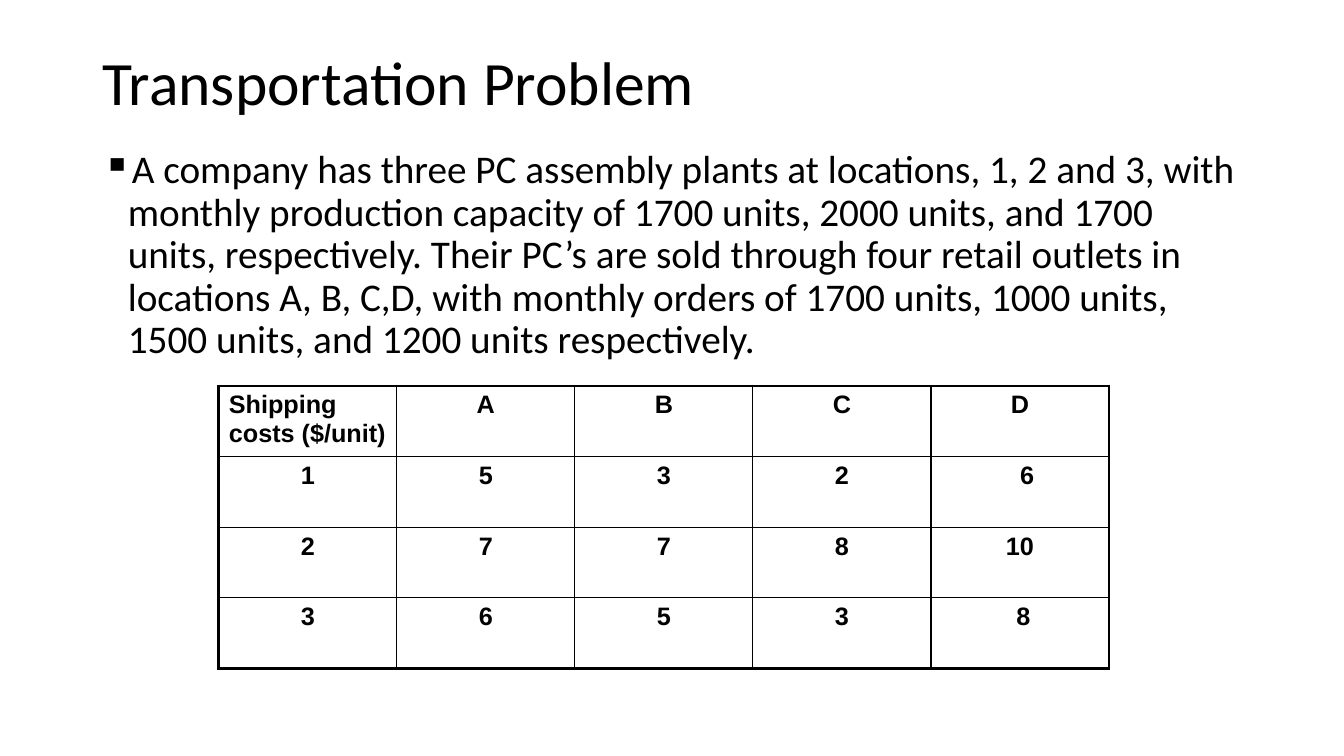
from pptx import Presentation
from pptx.dml.color import RGBColor as Rgb
from pptx.enum.text import MSO_ANCHOR as Anchor, PP_ALIGN as Align
from pptx.oxml.ns import qn
from pptx.util import Inches, Pt
from lxml.etree import SubElement as Sub

COLORS = {"ink": "000000"}
INTRO = (
    "A company has three PC assembly plants at locations, 1, 2 and 3, with "
    "monthly production capacity of 1700 units, 2000 units, and 1700 units, "
    "respectively. Their PC’s are sold through four retail outlets in "
    "locations A, B, C,D, with monthly orders of 1700 units, 1000 units, "
    "1500 units, and 1200 units respectively."
)
COSTS = [
    ["Shipping costs ($/unit)", "A", "B", "C", "D"],
    ["1", "5", "3", "2", "6"],
    ["2", "7", "7", "8", "10"],
    ["3", "6", "5", "3", "8"],
]
# Extra left inset of cells set off from the centre
SHIFT = {(1, 4): 0.14, (3, 4): 0.07}


class Deck:
    font = "Calibri"
    thin, thick = 1, 2.25

    def __init__(self):
        self.prs = Presentation()
        self.prs.slide_width = Inches(13.33)
        self.prs.slide_height = Inches(7.5)
        self.slide = self.prs.slides.add_slide(self.prs.slide_layouts[6])

    def run(self, para, text, size, font=None, bold=False):
        run = para.add_run()
        run.text = text
        run.font.size = Pt(size)
        run.font.name = font or self.font
        run.font.bold = bold
        run.font.color.rgb = Rgb.from_string(COLORS["ink"])

    def text(self, box, text, size, anchor=Anchor.TOP, bullet=None):
        frame = self.slide.shapes.add_textbox(*map(Inches, box)).text_frame
        frame.word_wrap = True
        frame.vertical_anchor = anchor
        para = frame.paragraphs[0]
        if bullet:
            props = para._p.get_or_add_pPr()
            props.set("marL", str(Inches(0.25)))
            props.set("indent", str(-Inches(0.25)))
            Sub(props, qn("a:buChar"), char=bullet)
        para.line_spacing = 0.9
        self.run(para, text, size)

    def border(self, cell, widths):
        props = cell._tc.get_or_add_tcPr()
        for side, width in widths.items():
            line = Sub(props, qn("a:ln" + side), w=str(Pt(width)))
            fill = Sub(line, qn("a:solidFill"))
            Sub(fill, qn("a:srgbClr"), val=COLORS["ink"])

    def table(self, box, rows, size, font):
        high, wide = len(rows), len(rows[0])
        grid = self.slide.shapes.add_table(high, wide, *map(Inches, box)).table
        grid.first_row = grid.horz_banding = False
        for r, row in enumerate(rows):
            for c, text in enumerate(row):
                cell = grid.cell(r, c)
                edges = {"L": c == 0, "R": c == wide - 1,
                         "T": r == 0, "B": r == high - 1}
                self.border(cell, {side: self.thick if outer else self.thin
                                   for side, outer in edges.items()})
                cell.fill.background()
                cell.margin_left = Inches(0.1 + SHIFT.get((r, c), 0))
                para = cell.text_frame.paragraphs[0]
                para.alignment = Align.CENTER if r or c else Align.LEFT
                self.run(para, text, size, font, True)


def main():
    deck = Deck()
    # Title and problem statement
    deck.text((0.92, 0.4, 11.5, 0.9), "Transportation Problem", 44, Anchor.MIDDLE)
    deck.text((0.92, 1.44, 11.5, 5.56), INTRO, 28, bullet="▪")
    # Shipping costs
    deck.table((2.17, 3.83, 8.83, 2.8), COSTS, 18, "Arial")
    deck.prs.save("out.pptx")


if __name__ == "__main__":
    main()
